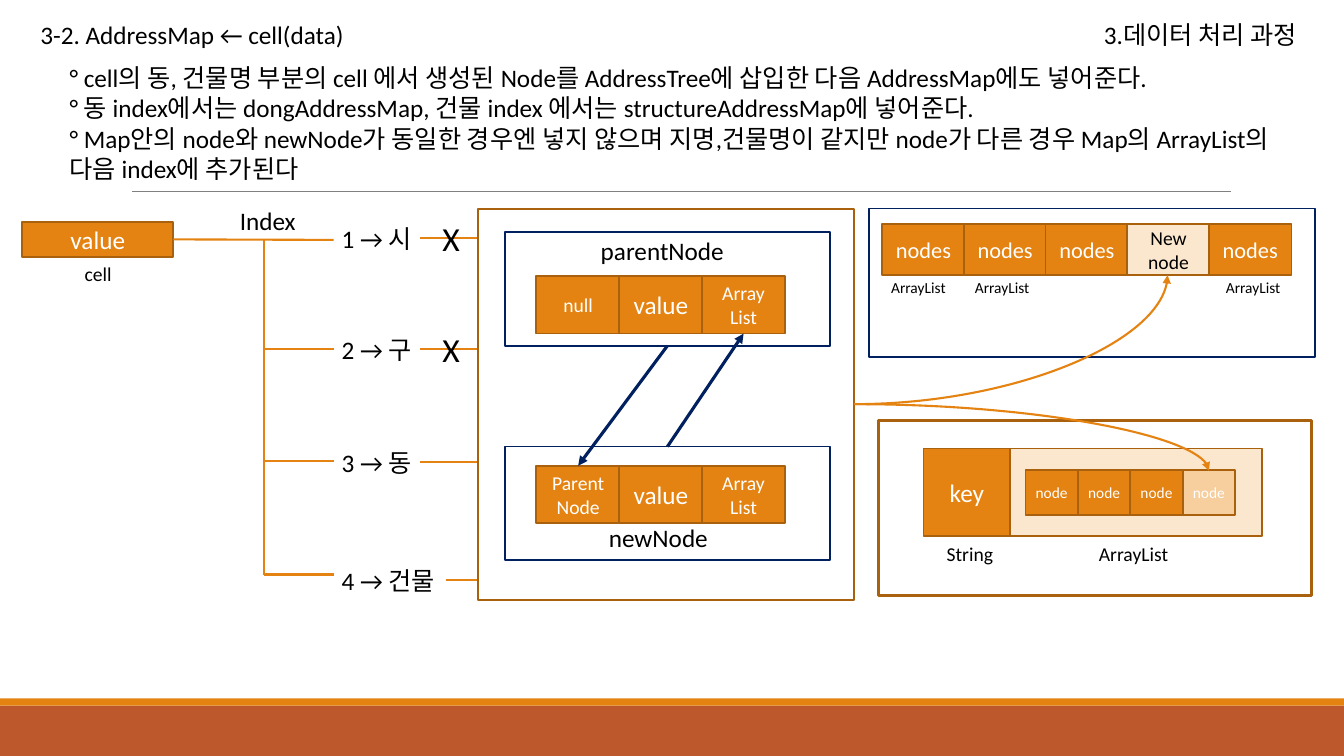
from dataclasses import dataclass

from lxml.etree import SubElement
from pptx import Presentation
from pptx.dml.color import RGBColor
from pptx.enum.shapes import MSO_CONNECTOR, MSO_SHAPE
from pptx.enum.text import MSO_ANCHOR, MSO_AUTO_SIZE, PP_ALIGN
from pptx.oxml.ns import qn
from pptx.util import Inches, Pt


@dataclass(frozen=True)
class Theme:
    font: str = "Calibri"
    orange: str = "E48312"
    brown: str = "A9610D"
    rust: str = "BD582C"
    navy: str = "002060"
    cream: str = "FBE6CE"
    peach: str = "F7CE9D"
    gray: str = "808080"
    white: str = "FFFFFF"
    black: str = "000000"
    huge: int = 24
    text: int = 18
    item: int = 16
    small: int = 14
    tiny: int = 11
    thin: float = 1.25
    wire: float = 1.5
    thick: float = 2.25


T = Theme()


@dataclass(frozen=True)
class Box:
    x: float
    y: float
    w: float
    h: float

    def inner(self, dx, dy, w, h):
        return Box(self.x + dx, self.y + dy, w, h)

    def emu(self):
        return [Inches(v) for v in (self.x, self.y, self.w, self.h)]


def write(shape, text, size, color, align=PP_ALIGN.LEFT, anchor=MSO_ANCHOR.TOP):
    tf = shape.text_frame
    tf.text = text
    tf.word_wrap = True
    tf.auto_size = MSO_AUTO_SIZE.NONE
    tf.vertical_anchor = anchor
    for p in tf.paragraphs:
        p.alignment = align
        p.line_spacing = 1.0
        p.space_before = p.space_after = Pt(0)
        for r in p.runs:
            r.font.name = T.font
            r.font.size = Pt(size)
            r.font.color.rgb = RGBColor.from_string(color)
    return tf


def label(s, box, text, size=T.text):
    write(s.shapes.add_textbox(*box.emu()), text, size, T.black)


def rect(s, box, fill=None, line=None, width=T.thin):
    sp = s.shapes.add_shape(MSO_SHAPE.RECTANGLE, *box.emu())
    sp.shadow.inherit = False
    if fill:
        sp.fill.solid()
        sp.fill.fore_color.rgb = RGBColor.from_string(fill)
    else:
        sp.fill.background()
    if line:
        sp.line.color.rgb = RGBColor.from_string(line)
        sp.line.width = Pt(width)
    else:
        sp.line.fill.background()
    return sp


def cell(s, box, text, size=T.text, fill=T.orange, color=T.white):
    sp = rect(s, box, fill, T.brown)
    tf = write(sp, text, size, color, PP_ALIGN.CENTER, MSO_ANCHOR.MIDDLE)
    tf.margin_left = tf.margin_right = 0
    return sp


def wire(s, x1, y1, x2, y2, color=T.orange, width=T.wire, arrow=False, curved=False):
    kind = MSO_CONNECTOR.CURVE if curved else MSO_CONNECTOR.STRAIGHT
    c = s.shapes.add_connector(kind, *[Inches(v) for v in (x1, y1, x2, y2)])
    c.line.color.rgb = RGBColor.from_string(color)
    c.line.width = Pt(width)
    sp_pr = c._element.spPr
    if arrow:
        SubElement(c.line._get_or_add_ln(), qn("a:tailEnd"), type="triangle")
    if curved:
        sp_pr.find(qn("a:prstGeom")).set("prst", "curvedConnector2")
    SubElement(sp_pr, qn("a:effectLst"))
    return c


def frame(s, box):
    # Bottom bands and the rule under the text
    rect(s, box.inner(0, 7, box.w, 0.5), T.rust)
    rect(s, box.inner(0, 6.93, box.w, 0.07), T.orange)
    wire(s, 1.31, 1.9, 12.21, 1.9, T.gray, 0.5)


def header(s, box):
    title, body = s.placeholders[0], s.placeholders[1]
    for sp, part in ((title, box.inner(0, 0, 5.11, 0.4)),
                     (body, box.inner(0.29, 0.43, 12.33, 1.31))):
        sp.left, sp.top, sp.width, sp.height = part.emu()
    write(title, "3-2. AddressMap ← cell(data)", T.text, T.black)
    write(body, "\n".join((
        "° cell의 동, 건물명 부분의 cell 에서 생성된 Node를 AddressTree에 삽입한 다음 AddressMap에도 넣어준다.",
        "° 동 index에서는 dongAddressMap, 건물 index 에서는 structureAddressMap에 넣어준다.",
        "° Map안의 node와 newNode가 동일한 경우엔 넣지 않으며 지명,건물명이 같지만 node가 다른 경우 "
        "Map의 ArrayList의 다음 index에 추가된다")), T.text, T.black)
    for p in body.text_frame.paragraphs:
        p_pr = p._p.get_or_add_pPr()
        p_pr.set("marL", "0")
        p_pr.set("indent", "0")
        SubElement(p_pr, qn("a:buNone"))
    label(s, box.inner(10.55, 0, 2.48, 0.4), "3.데이터 처리 과정")


def index_tree(s, box):
    # Source cell, trunk and one branch per index
    value = cell(s, box.inner(0, 0.13, 1.5, 0.35), "value")
    label(s, box.inner(0.52, 0.48, 0.57, 0.34), "cell", T.small)
    label(s, box.inner(2.06, -0.08, 0.79, 0.4), "Index")
    trunk, fork, right = box.x + 2.4, box.x + 3.09, box.x + box.w
    branches = (("1 → 시", 0.31, 0.29, 3.95, True), ("2 → 구", 1.39, 1.39, 3.95, True),
                ("3 → 동", 2.5, 2.51, 3.95, False), ("4 → 건물", 3.63, 3.68, 4.2, False))
    for i, (text, y_in, y_out, start, crossed) in enumerate(branches):
        y = box.y + y_in
        c = wire(s, trunk if i else box.x + 1.5, y, fork, y)
        if i == 0:
            c.begin_connect(value, 3)
        label(s, box.inner(3.07, y_out - 0.19, 1.21, 0.4), text)
        wire(s, box.x + start, box.y + y_out, right, box.y + y_out)
        if crossed:
            label(s, box.inner(4.07, y_out - 0.25, 0.42, 0.5), "X", T.huge)
    wire(s, trunk, box.y + branches[0][1], trunk, box.y + branches[-1][1])


def tree_node(s, box, cells_dy, first, name, name_dx, name_dy):
    outline = rect(s, box, T.white, T.navy)
    cells = [cell(s, box.inner(0.31 + 0.82 * i, cells_dy, 0.83, 0.57), text, size)
             for i, (text, size) in enumerate(((first, T.small), ("value", T.text),
                                               ("Array\nList", T.small)))]
    label(s, box.inner(name_dx, name_dy, 1.49, 0.4), name)
    return outline, cells


def node_panel(s, box):
    rect(s, box, None, T.brown)
    parent, parent_cells = tree_node(s, box.inner(0.27, 0.23, 3.22, 1.13), 0.44,
                                     "null", "parentNode", 0.85, -0.01)
    new, new_cells = tree_node(s, box.inner(0.27, 2.36, 3.22, 1.13), 0.19,
                               "Parent\nNode", "newNode", 0.93, 0.7)
    # Links between parent and child
    for source, side, target, end in ((parent, 2, new_cells[0], 0),
                                      (new, 0, parent_cells[2], 2)):
        c = wire(s, 0, 0, 1, 1, T.navy, T.thick, arrow=True)
        c.begin_connect(source, side)
        c.end_connect(target, end)


def list_panel(s, box):
    rect(s, box, None, T.navy)
    for i in range(5):
        part = box.inner(0.13 + 0.81 * i, 0.15, 0.82, 0.51)
        if i == 3:
            cell(s, part, "New\nnode", T.small, T.cream, T.black)
        else:
            cell(s, part, "nodes", T.item)
    for i in (0, 1, 4):
        label(s, box.inner(0.12 + 0.83 * i, 0.64, 0.81, 0.29), "ArrayList", T.tiny)


def map_panel(s, box):
    rect(s, box, T.white, T.brown, T.thick)
    rect(s, box.inner(1.31, 0.28, 2.5, 0.87), T.cream, T.brown)
    cell(s, box.inner(0.45, 0.28, 0.86, 0.87), "key")
    for i in range(4):
        cell(s, box.inner(1.46 + 0.52 * i, 0.49, 0.52, 0.45), "node", T.tiny,
             T.peach if i == 3 else T.orange)
    label(s, box.inner(0.58, 1.16, 0.71, 0.34), "String", T.small)
    label(s, box.inner(2.09, 1.16, 0.95, 0.34), "ArrayList", T.small)


def main():
    prs = Presentation()
    prs.slide_width, prs.slide_height = Inches(13.33), Inches(7.5)
    s = prs.slides.add_slide(prs.slide_layouts[1])
    frame(s, Box(0, 0, 13.33, 7.5))
    header(s, Box(0.3, 0.14, 13.03, 1.74))
    index_tree(s, Box(0.22, 2.07, 4.52, 3.88))
    nodes = Box(4.74, 2.07, 3.73, 3.88)
    node_panel(s, nodes)
    list_panel(s, Box(8.62, 2.07, 4.42, 1.47))
    map_panel(s, Box(8.71, 4.17, 4.3, 1.74))
    # Curves from the node panel to the new entries
    for x, y in ((11.58, 2.73), (11.99, 4.67)):
        wire(s, nodes.x + nodes.w, nodes.y + nodes.h / 2, x, y, arrow=True, curved=True)
    prs.save("out.pptx")


if __name__ == "__main__":
    main()
